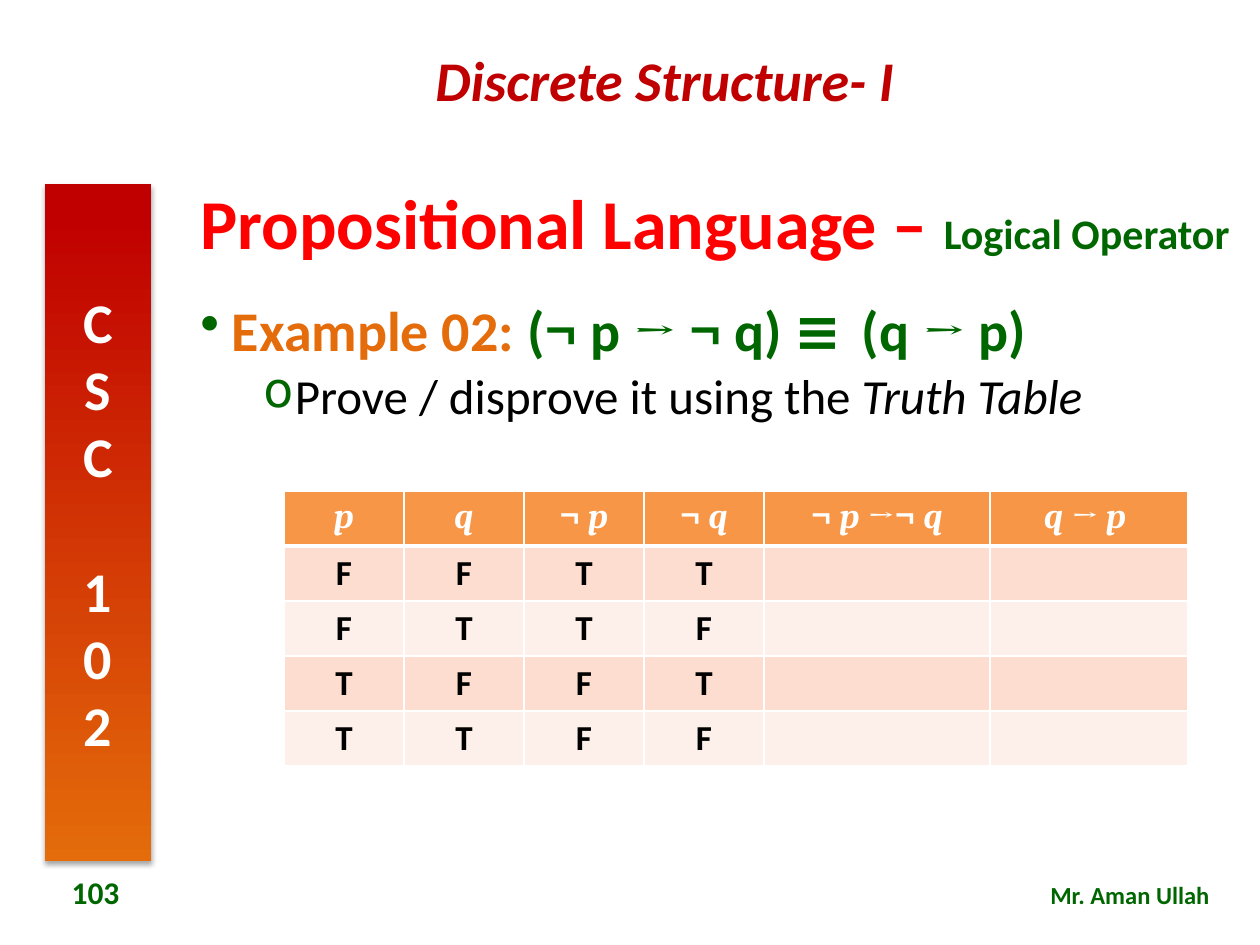
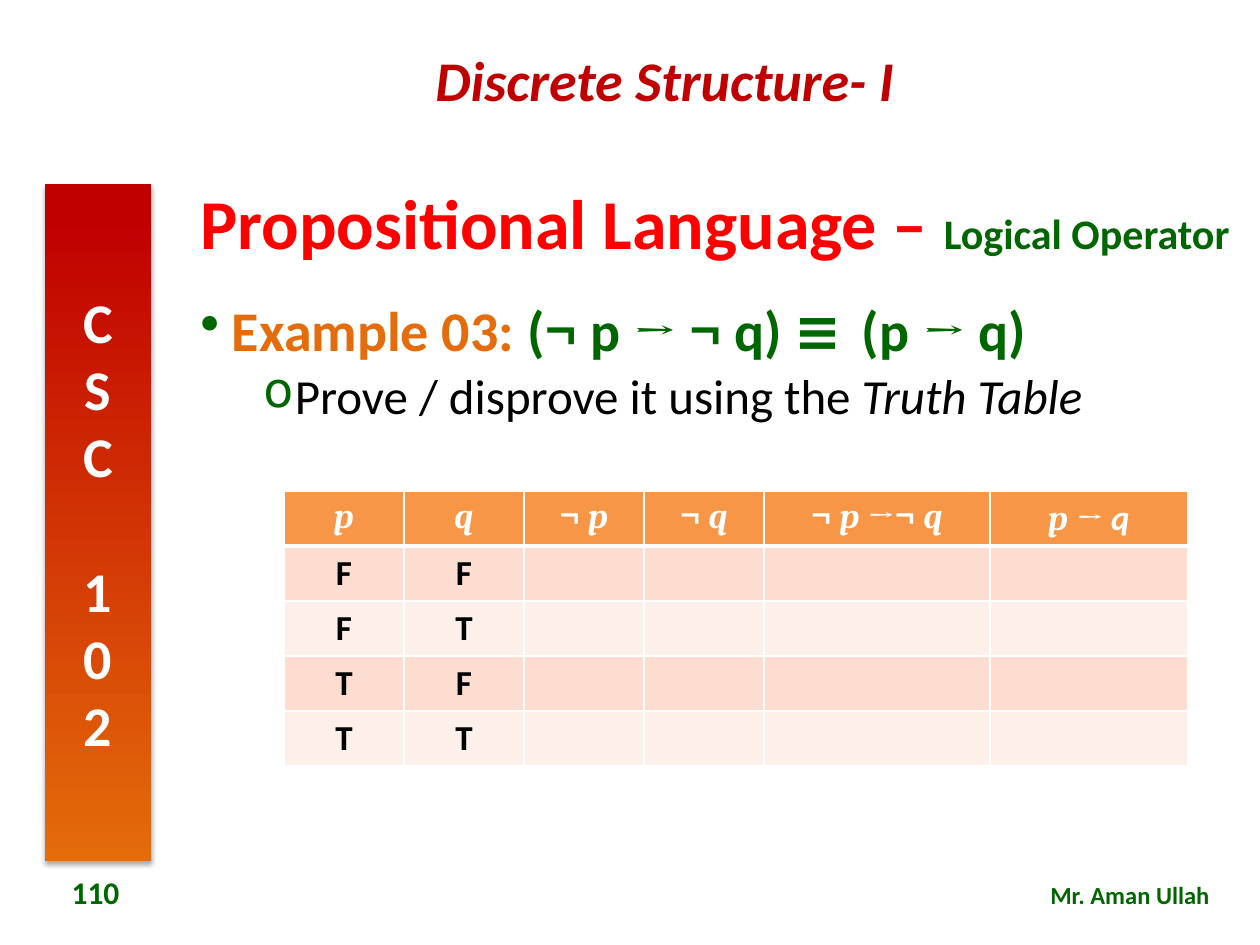
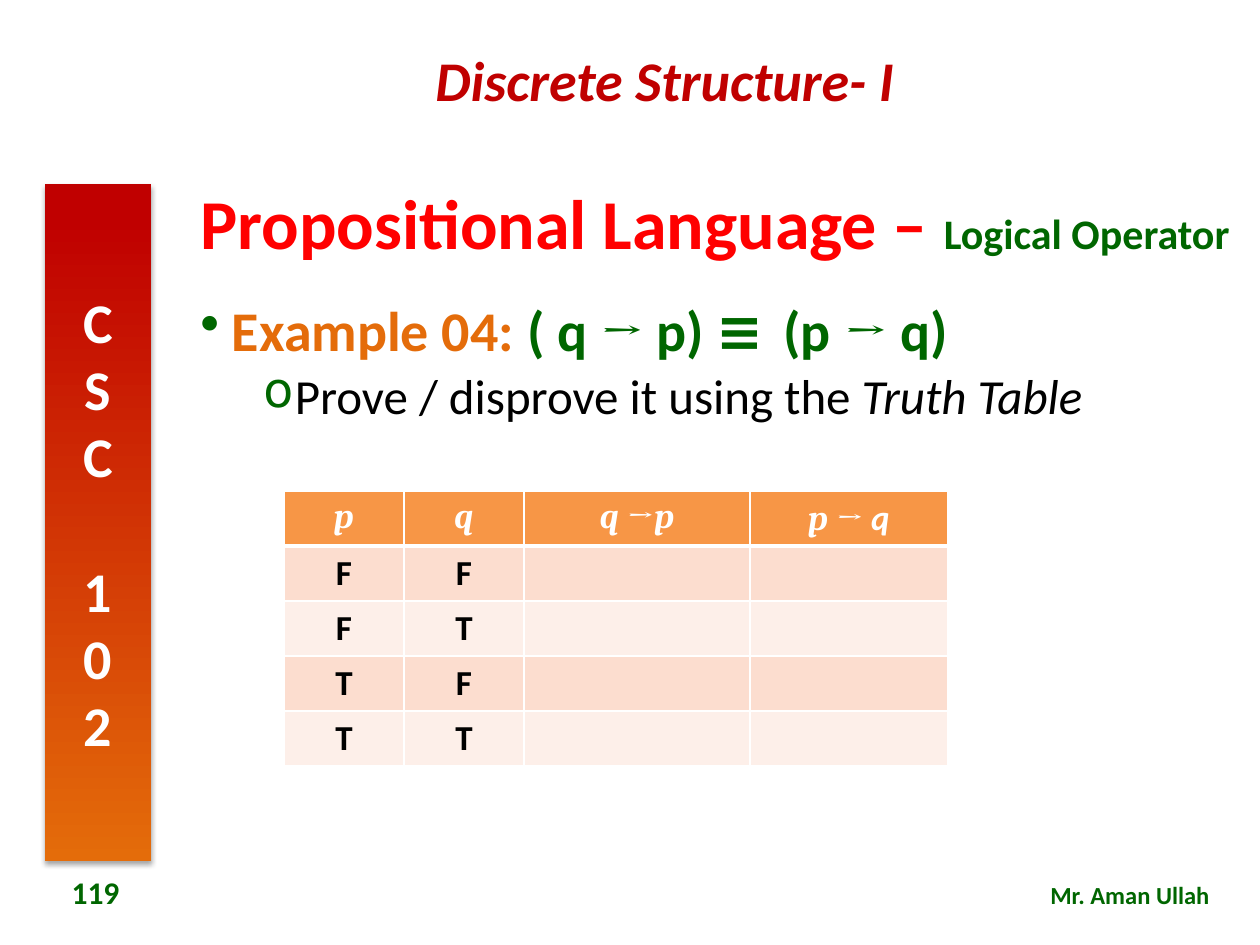
from lxml import etree
from pptx import Presentation
from pptx import util as u
from pptx.dml.color import RGBColor
from pptx.enum import shapes, text
from pptx.oxml import parse_xml
from pptx.oxml.ns import nsdecls, qn

PX = 914400 / 126  # EMU in one px

RED = RGBColor(0xFF, 0x00, 0x00)
DARK_RED = RGBColor(0xC0, 0x00, 0x00)
ORANGE = RGBColor(0xE4, 0x6C, 0x0A)
HEADER_ORANGE = RGBColor(0xF7, 0x96, 0x46)
PEACH = RGBColor(0xFC, 0xDD, 0xCF)
PALE_PEACH = RGBColor(0xFD, 0xEF, 0xE9)
GREEN = RGBColor(0x00, 0x66, 0x00)
WHITE = RGBColor(0xFF, 0xFF, 0xFF)
BLACK = RGBColor(0x00, 0x00, 0x00)

SANS, SERIF = "Calibri", "Cambria"
SYMBOL_FONTS = {"¬": SERIF, "→": SERIF, "≡": "Comic Neue"}
LEFT, CENTER, RIGHT = text.PP_ALIGN.LEFT, text.PP_ALIGN.CENTER, text.PP_ALIGN.RIGHT
TOP, MIDDLE = text.MSO_ANCHOR.TOP, text.MSO_ANCHOR.MIDDLE

TABLE_X, TABLE_Y, ROW_HEIGHT = 284, 491, 55
NARROW, WIDE, LAST = 120, 226, 198
INPUTS = ["FF", "FT", "TF", "TT"]

# Number, example, statement, table headings and known values; "|" separates runs
SLIDES = [
    ("103", "Example 02: ", "(|¬ |p |→ ¬ |q) |≡ |(q |→| p)",
     ["p", "q", "¬ |p", "¬ |q", "¬ |p |→¬ |q", "q |→ |p "],
     ["FFTT", "FTTF", "TFFT", "TTFF"]),
    ("110", "Example 03: ", "(|¬ |p |→ ¬ |q) |≡ |(p |→| q)",
     ["p", "q", "¬ |p", "¬ |q", "¬ |p |→¬ |q", "p |→ |q"], INPUTS),
    ("119", "Example 04: ", "( q |→ |p) |≡ |(p |→| q)",
     ["p", "q", "q |→|p", "p |→ |q"], INPUTS),
]


def add_run(paragraph, words, size, color, font=SANS, bold=True, italic=False):
    run = paragraph.add_run()
    run.text = words
    run.font.name, run.font.size = font, u.Pt(size)
    run.font.bold, run.font.italic = bold, italic
    run.font.color.rgb = color


def add_text(slide, x, y, width, height, align=LEFT, anchor=TOP):
    box = slide.shapes.add_textbox(*(round(n * PX) for n in (x, y, width, height)))
    box.text_frame.word_wrap = True
    box.text_frame.vertical_anchor = anchor
    paragraph = box.text_frame.paragraphs[0]
    paragraph.alignment = align
    return box.text_frame, paragraph


presentation = Presentation()
presentation.slide_width = round(1260 * PX)
presentation.slide_height = round(945 * PX)

for number, example, statement, headings, values in SLIDES:
    slide = presentation.slides.add_slide(presentation.slide_layouts[6])

    # Course name
    frame, paragraph = add_text(slide, 266, 39, 798, 81, CENTER)
    add_run(paragraph, "Discrete Structure- I", 32, DARK_RED, italic=True)

    # Course code band
    band = slide.shapes.add_shape(shapes.MSO_SHAPE.RECTANGLE,
                                  *(round(n * PX) for n in (45, 184, 106, 677)))
    band.line.fill.background()
    band.fill.gradient()
    band.fill.gradient_angle = 90
    for stop, color, position in zip(band.fill.gradient_stops, (ORANGE, DARK_RED), (0, 0.95)):
        stop.color.rgb, stop.position = color, position
    band.shadow.inherit = False
    band._element.spPr.find(qn("a:effectLst")).append(parse_xml(
        f'<a:outerShdw {nsdecls("a")} blurRad="{u.Pt(3.1)}" dist="{u.Pt(1.8)}" dir="5400000">'
        '<a:srgbClr val="000000"><a:alpha val="35000"/></a:srgbClr></a:outerShdw>'))
    band.text_frame._txBody.bodyPr.set("vert", "wordArtVert")
    band.text_frame.vertical_anchor = MIDDLE
    paragraph = band.text_frame.paragraphs[0]
    paragraph.alignment = CENTER
    add_run(paragraph, "CSC 102", 32, WHITE)

    # Footer
    frame, paragraph = add_text(slide, 857, 874, 365, 43, RIGHT)
    add_run(paragraph, "Mr. Aman Ullah", 14, GREEN)
    frame, paragraph = add_text(slide, 30, 867, 131, 50, CENTER, MIDDLE)
    add_run(paragraph, number, 18, GREEN)

    # Title
    frame, paragraph = add_text(slide, 188, 171, 1057, 112, anchor=MIDDLE)
    paragraph.line_spacing = 0.9
    add_run(paragraph, "Propositional Language – ", 40, RED)
    add_run(paragraph, "Logical Operator", 24, GREEN)

    # Statement and task
    frame, claim = add_text(slide, 188, 297, 1057, 554)
    claim.alignment = text.PP_ALIGN.JUSTIFY
    task = frame.add_paragraph()
    task.space_before = u.Pt(5)
    for paragraph, bullet, indent in ((claim, "•", 0.25), (task, "o", 0.75)):
        properties = paragraph._p.get_or_add_pPr()
        properties.set("marL", str(u.Inches(indent)))
        properties.set("indent", str(u.Inches(-0.25)))
        bullet_color = etree.SubElement(properties, qn("a:buClr"))
        etree.SubElement(bullet_color, qn("a:srgbClr"), val=str(GREEN))
        etree.SubElement(properties, qn("a:buChar"), char=bullet)
        paragraph.line_spacing = 0.9
    add_run(claim, example, 32, ORANGE)
    for part in statement.split("|"):
        add_run(claim, part, 32, GREEN, SYMBOL_FONTS.get(part[0], SANS))
    add_run(task, "Prove / disprove it using the ", 28, BLACK, bold=False)
    add_run(task, "Truth Table", 28, BLACK, bold=False, italic=True)

    # Truth table
    widths = [NARROW] * (len(headings) - 2) + [WIDE, LAST]
    row_count = len(values) + 1
    table = slide.shapes.add_table(
        row_count, len(headings),
        *(round(n * PX) for n in (TABLE_X, TABLE_Y, sum(widths), row_count * ROW_HEIGHT))).table
    table.horz_banding = False
    for column, width in zip(table.columns, widths):
        column.width = round(width * PX)
    for i, row in enumerate(table.rows):
        row.height = round(ROW_HEIGHT * PX)
        for j, cell in enumerate(row.cells):
            properties = cell._tc.get_or_add_tcPr()
            for side in "LRTB":
                thick = (i, side) in ((0, "B"), (1, "T"))
                properties.append(parse_xml(
                    f'<a:ln{side} {nsdecls("a")} w="{u.Pt(3 if thick else 1)}">'
                    f'<a:solidFill><a:srgbClr val="{WHITE}"/></a:solidFill></a:ln{side}>'))
            cell.fill.solid()
            cell.fill.fore_color.rgb = HEADER_ORANGE if i == 0 else (PALE_PEACH, PEACH)[i % 2]
            paragraph = cell.text_frame.paragraphs[0]
            paragraph.alignment = CENTER
            if i == 0:
                for part in headings[j].split("|"):
                    font = SANS if (headings[j], part) == ("p |→ |q", "q") else SERIF
                    add_run(paragraph, part, 20, WHITE, font, italic=part[0] in "pq")
            elif j < len(values[i - 1]):
                add_run(paragraph, values[i - 1][j], 20, BLACK)

presentation.save("out.pptx")
